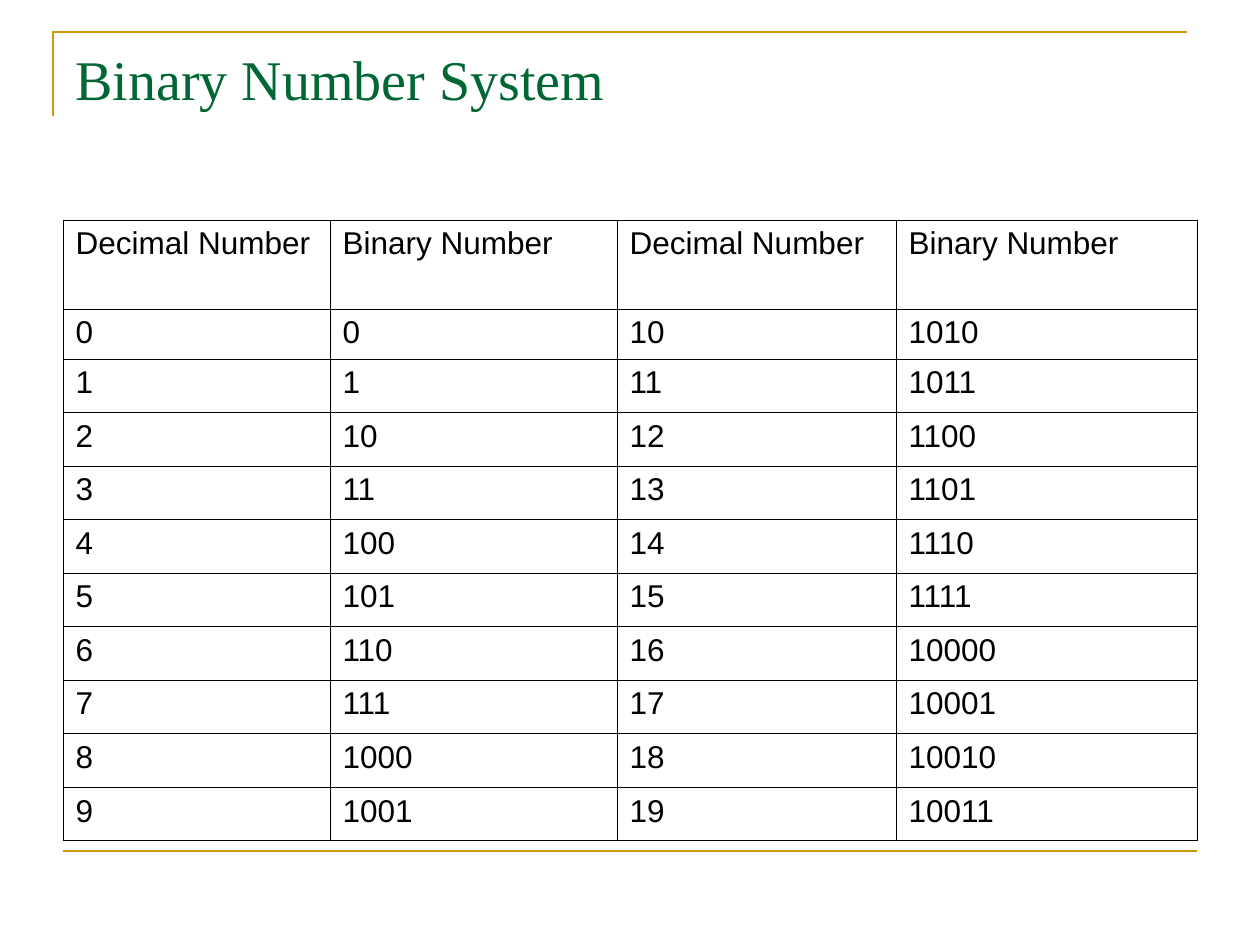
"""Build a slide with a table of decimal numbers and their binary forms."""
import pptx
import pptx.dml.color
import pptx.enum.text
import pptx.oxml
import pptx.oxml.ns
import pptx.util

TITLE = "Binary Number System"
HEADS = ["Decimal Number", "Binary Number"] * 2
ROWS = [HEADS] + [
    [str(low), f"{low:b}", str(low + 10), f"{low + 10:b}"] for low in range(10)
]

GOLD = pptx.dml.color.RGBColor(0xCC, 0x99, 0x00)
GREEN = pptx.dml.color.RGBColor(0x00, 0x66, 0x33)
BLACK = pptx.dml.color.RGBColor(0x00, 0x00, 0x00)

WIDE, HIGH = 1260, 945
TITLE_BOX = (63, 38, 1134, 158)
CORNER = [(53, 116), (53, 32), (1187, 32)]
RULE = (63, 851, 1197, 851)
LEFT, TOP = 63, 220
COLS = [267, 287, 279, 301]
HEAD_ROW, FIRST_ROW, REST = 89, 50, 482
INDENT = 48


def px(num):
    return round(num * 914400 / 126)


def style(text, font, size, color):
    text.font.name = font
    text.font.size = pptx.util.Pt(size)
    text.font.color.rgb = color


def gild(line):
    line.color.rgb = GOLD
    line.width = pptx.util.Pt(1.5)


def border(cell):
    props = cell._tc.get_or_add_tcPr()
    for side in "LRTB":
        props.append(pptx.oxml.parse_xml(
            f'<a:ln{side} {pptx.oxml.ns.nsdecls("a")} w="5715"><a:solidFill>'
            f'<a:srgbClr val="{BLACK}"/></a:solidFill></a:ln{side}>'
        ))


def add_title(slide):
    title = slide.shapes.title
    title.left, title.top, title.width, title.height = map(px, TITLE_BOX)
    frame = title.text_frame
    frame.text = TITLE
    frame.vertical_anchor = pptx.enum.text.MSO_ANCHOR.TOP
    para = frame.paragraphs[0]
    para.alignment = pptx.enum.text.PP_ALIGN.LEFT
    style(para.runs[0], "Times New Roman", 32, GREEN)


def add_frame(slide):
    pen = slide.shapes.build_freeform(*map(px, CORNER[0]))
    pen.add_line_segments([tuple(map(px, point)) for point in CORNER[1:]], close=False)
    corner = pen.convert_to_shape()
    corner.shadow.inherit = False
    corner.fill.background()
    gild(corner.line)
    rule = slide.shapes.add_connector(
        pptx.enum.shapes.MSO_CONNECTOR.STRAIGHT, *map(px, RULE))
    gild(rule.line)
    rule.element.spPr.append(
        pptx.oxml.parse_xml(f'<a:effectLst {pptx.oxml.ns.nsdecls("a")}/>'))
    for shape in (corner, rule):
        slide.shapes.title.element.addprevious(shape.element)


def add_table(slide):
    count = len(ROWS) - 2
    heights = [HEAD_ROW, FIRST_ROW] + [REST / count] * count
    table = slide.shapes.add_table(
        len(ROWS), len(COLS), px(LEFT), px(TOP), px(sum(COLS)), px(sum(heights))
    ).table
    table.first_row = table.horz_banding = False
    for col, width in zip(table.columns, COLS):
        col.width = px(width)
    for row, height, words in zip(table.rows, heights, ROWS):
        row.height = px(height)
        for cell, word in zip(row.cells, words):
            cell.text = word
            border(cell)
            cell.fill.background()
            para = cell.text_frame.paragraphs[0]
            props = para._p.get_or_add_pPr()
            props.set("marL", str(px(INDENT)))
            props.set("indent", str(-px(INDENT)))
            style(para.runs[0], "Arial", 18, BLACK)


def main():
    deck = pptx.Presentation()
    deck.slide_width, deck.slide_height = px(WIDE), px(HIGH)
    slide = deck.slides.add_slide(deck.slide_layouts.get_by_name("Title Only"))
    add_title(slide)
    add_frame(slide)
    add_table(slide)
    deck.save("out.pptx")


if __name__ == "__main__":
    main()
